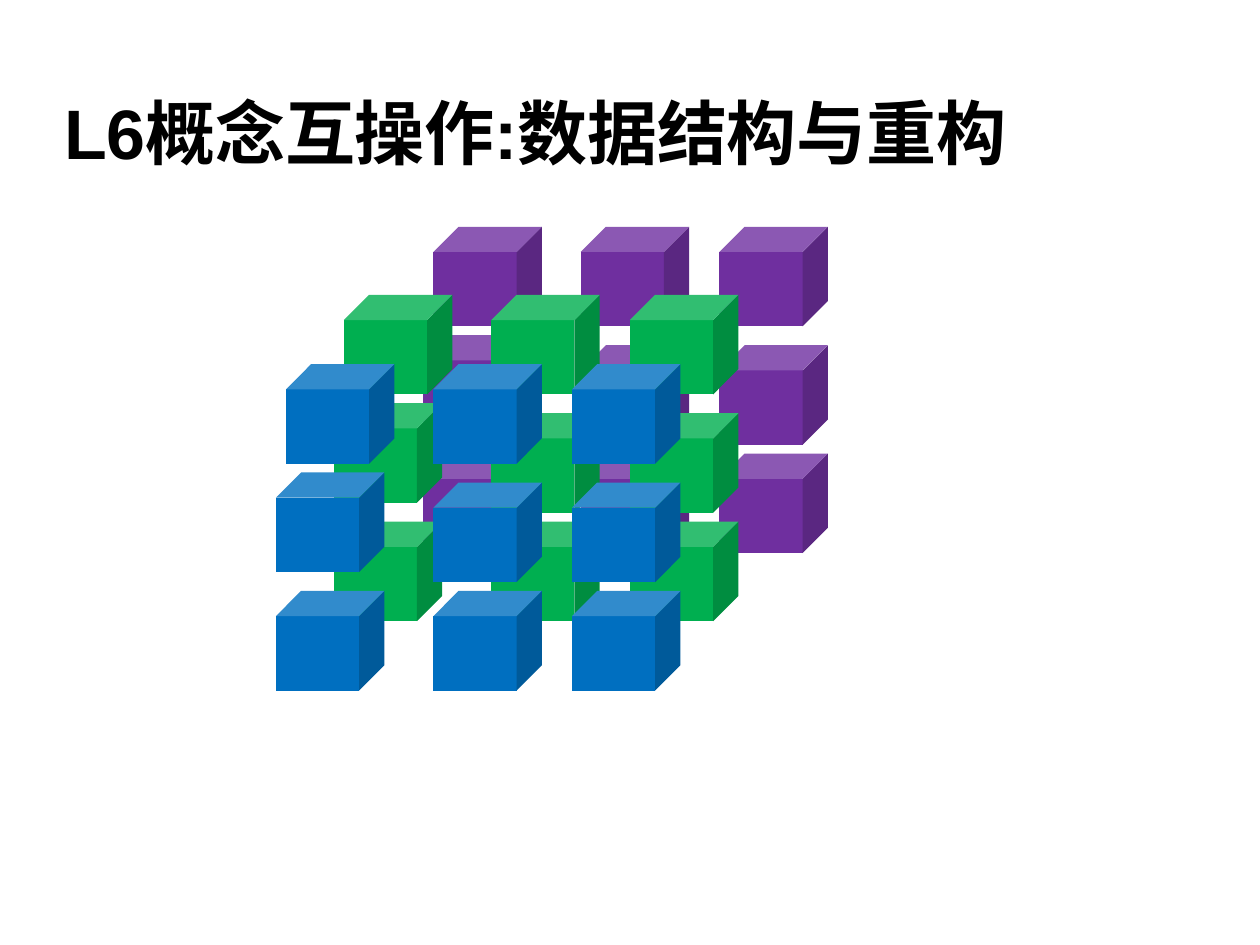
from dataclasses import dataclass

from pptx import Presentation
from pptx.dml.color import RGBColor
from pptx.enum.text import MSO_ANCHOR, MSO_AUTO_SIZE
from pptx.oxml.ns import qn
from pptx.util import Inches, Pt


@dataclass(frozen=True)
class Theme:
    """Colours as (front, side, top) per cube layer, with type settings."""
    purple: tuple = ("6F2F9F", "5A2781", "8B58B3")
    green: tuple = ("00AF50", "008D40", "31BE71")
    blue: tuple = ("006FC0", "005A9A", "318BCC")
    ink: str = "000000"
    latin_font: str = "Arial"
    chinese_font: str = "Noto Sans CJK SC"
    title_size: int = 40


THEME = Theme()
FRONT_WIDTH, FRONT_HEIGHT, DEPTH = 0.66, 0.59, 0.2
CUBE_OFFSETS = (
    (0, 0), (-0.08, 0.86), (-0.08, 1.8),
    (1.17, 1.8), (1.17, 0.94), (1.17, 0),
    (2.27, 0), (2.27, 0.94), (2.27, 1.8),
)
LAYERS = (
    (3.44, 1.8, THEME.purple),
    (2.73, 2.34, THEME.green),
    (2.27, 2.89, THEME.blue),
)
TITLE_RUNS = (
    ("L6", THEME.latin_font),
    ("概念互操作", THEME.chinese_font),
    (":", THEME.latin_font),
    ("数据结构与重构", THEME.chinese_font),
)


def add_title(slide):
    """Add the bold title, with one run per script."""
    box = slide.shapes.add_textbox(Inches(0.5), Inches(0.7), Inches(7.54), Inches(0.69))
    frame = box.text_frame
    frame.word_wrap = True
    frame.auto_size = MSO_AUTO_SIZE.SHAPE_TO_FIT_TEXT
    frame.vertical_anchor = MSO_ANCHOR.TOP
    frame.margin_left = frame.margin_top = Inches(0.01)
    frame.margin_right = frame.margin_bottom = 0
    paragraph = frame.paragraphs[0]
    paragraph.space_before = Pt(0.9)
    paragraph.font.size = Pt(THEME.title_size)
    paragraph.font.bold = True
    paragraph.font.color.rgb = RGBColor.from_string(THEME.ink)
    for text, font_name in TITLE_RUNS:
        run = paragraph.add_run()
        run.text = text
        run.font.name = font_name
        properties = run._r.get_or_add_rPr()
        properties.set("spc", "-10")
        east_asian = properties.makeelement(qn("a:ea"), {"typeface": font_name})
        properties.append(east_asian)


def add_face(slide, points, color):
    """Add one filled, unlined polygon through points given in inches."""
    corners = [(Inches(x), Inches(y)) for x, y in points]
    builder = slide.shapes.build_freeform(*corners[0])
    builder.add_line_segments(corners[1:], close=True)
    shape = builder.convert_to_shape()
    shape.shadow.inherit = False
    shape.fill.solid()
    shape.fill.fore_color.rgb = RGBColor.from_string(color)
    shape.line.fill.background()


def add_cube(slide, left, top, colors):
    """Add the front, side and top faces of one cube."""
    right, front_top = left + FRONT_WIDTH, top + DEPTH
    bottom, back_right = front_top + FRONT_HEIGHT, right + DEPTH
    front = ((left, bottom), (right, bottom), (right, front_top), (left, front_top))
    side = ((back_right, top), (right, front_top), (right, bottom), (back_right, bottom - DEPTH))
    lid = ((back_right, top), (left + DEPTH, top), (left, front_top), (right, front_top))
    for points, color in zip((front, side, lid), colors):
        add_face(slide, points, color)


def add_layer(slide, left, top, colors):
    """Add the nine cubes of one layer."""
    for offset_x, offset_y in CUBE_OFFSETS:
        add_cube(slide, left + offset_x, top + offset_y, colors)


def main():
    """Build and save the slide."""
    presentation = Presentation()
    presentation.slide_width, presentation.slide_height = Inches(10), Inches(7.5)
    slide = presentation.slides.add_slide(presentation.slide_layouts[6])
    add_title(slide)
    for left, top, colors in LAYERS:
        add_layer(slide, left, top, colors)
    presentation.save("out.pptx")


if __name__ == "__main__":
    main()
